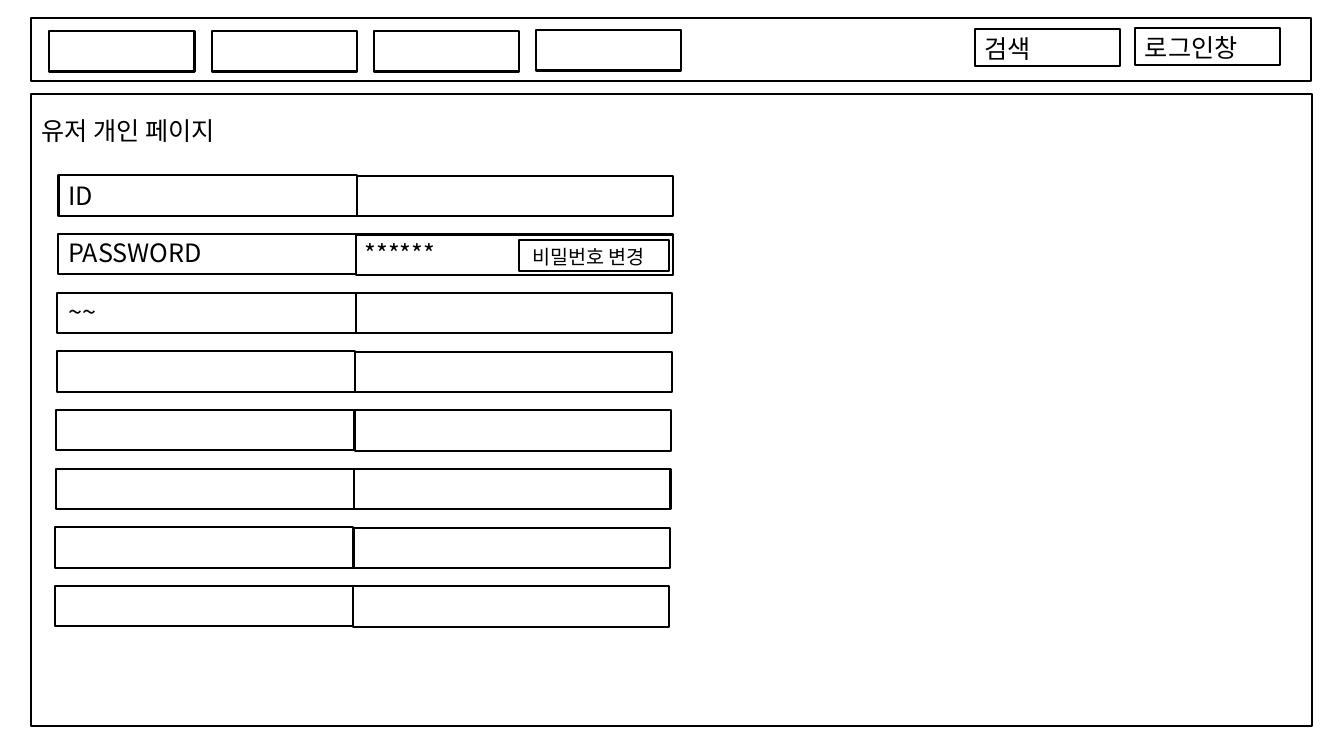
from pptx import Presentation
from pptx.dml.color import RGBColor
from pptx.enum.shapes import MSO_SHAPE
from pptx.enum.text import MSO_ANCHOR, PP_ALIGN
from pptx.util import Pt

RECT = MSO_SHAPE.RECTANGLE
TOP = MSO_ANCHOR.TOP
LEFT = PP_ALIGN.LEFT

FONT = "Noto Sans CJK KR"
INK = "000000"
TITLE = "유저 개인 페이지"
FRAMES = [(22.3, 13, 914.4, 44.6), (22.3, 67, 915.1, 451.4)]
MENU = [22.3, 22.3, 22.3, 21.6]
TOOLS = [("검색", 696.2, 20.9), ("로그인창", 810.7, 20.2)]
FIELDS = [("ID", 125.3), ("PASSWORD", 166.3), ("~~", 208.1)]
SECRET = "******"
CHANGE = "비밀번호 변경"

ROWS = 8
ROW_X, ROW_Y = 41.8, 125.3
PITCH, DRIFT = 41.9, 0.4
KEY_W, VALUE_W, ROW_H = 213.1, 226.1, 28.8
MENU_X, MENU_GAP, BUTTON_W = 35.3, 115.9, 103.7

deck = Presentation()
deck.slide_width, deck.slide_height = Pt(960), Pt(540)
slide = deck.slides.add_slide(deck.slide_layouts[5])
shapes = slide.shapes


def color(value):
    return RGBColor.from_string(value)


def box(x, y, w, h):
    shape = shapes.add_shape(RECT, Pt(x), Pt(y), Pt(w), Pt(h))
    shape.shadow.inherit = False
    shape.fill.background()
    shape.line.color.rgb = color(INK)
    shape.line.width = Pt(1.5)


def style(shape, text, size):
    frame = shape.text_frame
    frame.text = text
    frame.word_wrap = True
    frame.vertical_anchor = TOP
    for para in frame.paragraphs:
        para.alignment = LEFT
        for run in para.runs:
            run.font.size = Pt(size)
            run.font.name = FONT
            run.font.color.rgb = color(INK)


def label(text, x, y, w, h=ROW_H, size=18):
    style(shapes.add_textbox(Pt(x), Pt(y), Pt(w), Pt(h)), text, size)


title = shapes.title
title.left, title.top = Pt(22.3), Pt(78.5)
title.width, title.height = Pt(532.1), Pt(ROW_H)
style(title, TITLE, 18)

for frame in FRAMES:
    box(*frame)

for i, y in enumerate(MENU):
    box(MENU_X + i * MENU_GAP, y, BUTTON_W, ROW_H)

for text, x, y in TOOLS:
    box(x, y, BUTTON_W, 26.6)
    label(text, x, y - 0.7, 95.8)

for i in range(ROWS):
    x, y = ROW_X - i * DRIFT, ROW_Y + i * PITCH
    box(x, y, KEY_W, ROW_H)
    box(x + KEY_W, y + 0.3, VALUE_W, ROW_H)

for text, y in FIELDS:
    label(text, ROW_X, y, KEY_W)

label(SECRET, 253.4, 167, 105)
box(370.8, 171.4, 107.3, 22.3)
label(CHANGE, 373, 171.4, 131, 24.5, 14)

deck.save("out.pptx")
